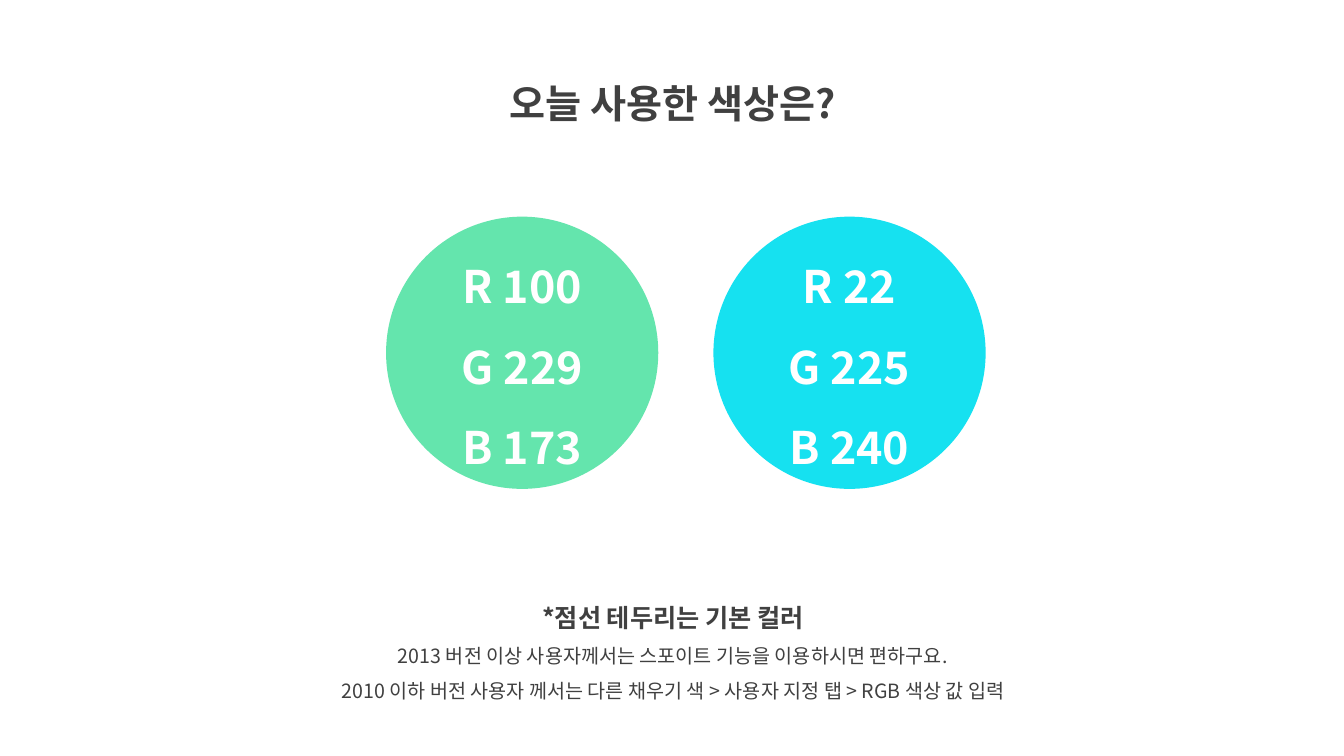
from lxml import etree
from pptx import Presentation
from pptx.dml.color import RGBColor
from pptx.enum.shapes import MSO_SHAPE
from pptx.enum.text import MSO_ANCHOR, MSO_AUTO_SIZE, PP_ALIGN
from pptx.oxml.ns import qn
from pptx.util import Cm, Pt

OVAL = MSO_SHAPE.OVAL
MIDDLE = MSO_ANCHOR.MIDDLE
GROW = MSO_AUTO_SIZE.SHAPE_TO_FIT_TEXT
CENTER = PP_ALIGN.CENTER

FONT = "Noto Sans CJK KR"
COLORS = {"ink": "404040", "white": "FFFFFF", "mint": "64E5AD", "cyan": "16E1F0"}

# Each line: text, size in points, bold
TITLE = [("오늘 사용한 색상은?", 28, True)]
NOTES = [
    ("*점선 테두리는 기본 컬러", 18, True),
    ("2013 버전 이상 사용자께서는 스포이트 기능을 이용하시면 편하구요.", 14, False),
    ("2010 이하 버전 사용자 께서는 다른 채우기 색 > 사용자 지정 탭 > RGB 색상 값 입력", 14, False),
]
SWATCHES = [
    ("mint", ["R 100", "G 229", "B 173"]),
    ("cyan", ["R 22", "G 225", "B 240"]),
]

# Lengths in centimetres
WIDTH, HEIGHT = 33.87, 19.05
MID = 16.96
LEFT, TOP, SIZE, STEP = 9.73, 5.46, 6.86, 8.25


def rgb(name):
    return RGBColor.from_string(COLORS[name])


def write(frame, lines, color):
    frame.word_wrap = True
    for i, (text, size, bold) in enumerate(lines):
        para = frame.add_paragraph() if i else frame.paragraphs[0]
        para.text = text
        para.alignment = CENTER
        para.line_spacing = 1.5
        font = para.font
        font.name = FONT
        font.size = Pt(size)
        font.bold = bold
        font.color.rgb = rgb(color)
        # Korean glyphs take the East Asian typeface
        props = para._p.get_or_add_pPr().find(qn("a:defRPr"))
        etree.SubElement(props, qn("a:ea"), typeface=FONT)


def add_text(slide, top, width, height, lines):
    """Add a text box centred on the slide's text axis."""
    box = slide.shapes.add_textbox(
        Cm(MID - width / 2), Cm(top), Cm(width), Cm(height))
    write(box.text_frame, lines, "ink")
    box.text_frame.auto_size = GROW


def add_swatch(slide, index, color, values):
    oval = slide.shapes.add_shape(
        OVAL, Cm(LEFT + index * STEP), Cm(TOP), Cm(SIZE), Cm(SIZE))
    oval.shadow.inherit = False
    oval.fill.solid()
    oval.fill.fore_color.rgb = rgb(color)
    oval.line.fill.background()
    oval.text_frame.vertical_anchor = MIDDLE
    write(oval.text_frame, [(value, 32, True) for value in values], "white")


def main():
    deck = Presentation()
    deck.slide_width, deck.slide_height = Cm(WIDTH), Cm(HEIGHT)
    slide = deck.slides.add_slide(deck.slide_layouts[6])
    add_text(slide, 1.27, 11.76, 1.83, TITLE)
    add_text(slide, 14.66, 20.29, 3.2, NOTES)
    for i, (color, values) in enumerate(SWATCHES):
        add_swatch(slide, i, color, values)
    deck.save("out.pptx")


if __name__ == "__main__":
    main()
